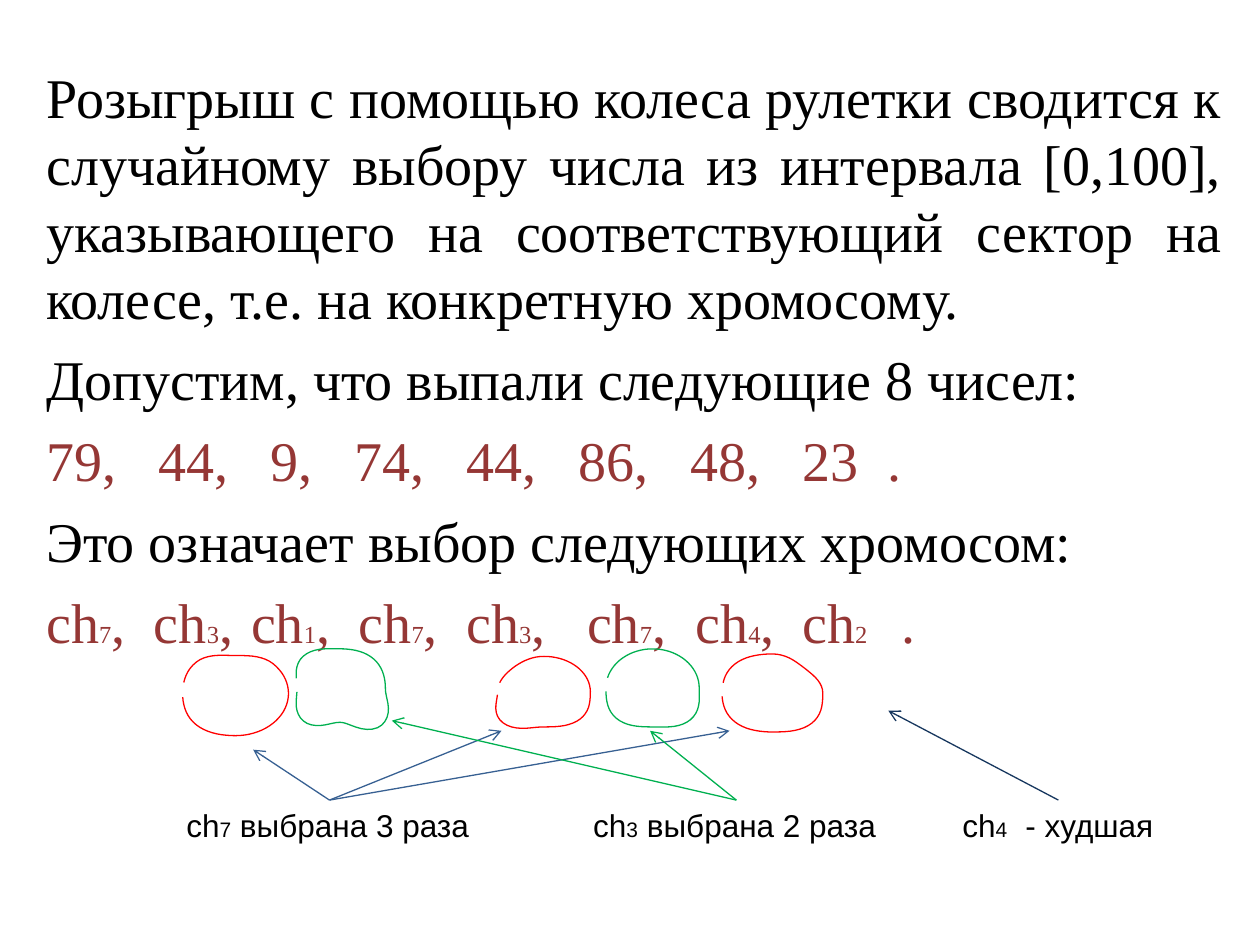
import math

import pptx
import pptx.util
import pptx.dml.color
import pptx.enum.shapes
import pptx.enum.text
import pptx.oxml.ns
from lxml import etree

Pt = pptx.util.Pt
RGB = pptx.dml.color.RGBColor
ALIGN = pptx.enum.text.PP_ALIGN
BLACK = RGB(0x00, 0x00, 0x00)
MAROON = RGB(0x95, 0x37, 0x35)
RED = RGB(0xFF, 0x00, 0x00)
GREEN = RGB(0x00, 0xB0, 0x50)
BLUE = RGB(0x37, 0x60, 0x92)
NAVY = RGB(0x17, 0x37, 0x5E)

BODY = [
    ("Розыгрыш с помощью колеса рулетки сводится к случайному выбору числа из "
     "интервала [0,100], указывающего на соответствующий сектор на колесе, т.е. "
     "на конкретную хромосому.", BLACK, []),
    ("Допустим, что выпали следующие 8 чисел:", BLACK, []),
    ("79,\t44,\t9,\t74,\t44,\t86,\t48,\t23\t.", MAROON,
     [64, 128, 176, 240, 304, 368, 432, 480.5]),
    ("Это означает выбор следующих хромосом:", BLACK, []),
    ("ch|7|,\tch|3|,\tch|1|,\tch|7|,\tch|3|,\tch|7|,\tch|4|,\tch|2|\t.", MAROON,
     [61.5, 117, 178.5, 240, 309, 371, 432, 488.5]),
]

LOOPS = [
    (104.4, 372.2, 60.5, 48.2, RED, [1, 1, 1, 1.05, 1, 1.05, 0.9, 1]),
    (284.4, 375.1, 53, 40.3, RED, [1, 1.1, 1, 1.25, 1, 0.95, 1, 1]),
    (412.6, 373.7, 57.6, 44.6, RED, [1, 1.1, 1, 1.05, 1, 1.05, 1, 0.9]),
    (168.5, 370.8, 51.8, 45.4, GREEN, [1, 1.3, 0.85, 1.15, 0.95, 1.15, 1, 1.05]),
    (346.3, 370.8, 53.3, 44.6, GREEN, [1, 1.15, 1, 1.1, 1, 1, 1, 1]),
]

LABELS = [
    (99.4, 177.8, "сh|7| выбрана 3 раза", [], BLUE,
     [(144.7, 428.4), (286.6, 417.6), (416.9, 417.6)]),
    (331.9, 177.8, "сh|3| выбрана 2 раза", [], GREEN,
     [(223.9, 411.8), (371.5, 417.6)]),
    (542.9, 123.8, "ch|4|\t- худшая", [36], NAVY, [(507.6, 406.1)]),
]


def add_text_frame(slide, left, top, width, height, insets):
    """Add a wrapping text box and return its shape."""
    s = slide.shapes.add_textbox(Pt(left), Pt(top), Pt(width), Pt(height))
    s.text_frame.word_wrap = True
    for side, size in insets.items():
        setattr(s.text_frame, "margin_" + side, Pt(size))
    return s


def fill_paragraph(p, text, sizes, font, color, stops):
    """Write runs that alternate between two sizes, with left tab stops."""
    if stops:
        tabs = etree.SubElement(p._p.get_or_add_pPr(), pptx.oxml.ns.qn("a:tabLst"))
        for stop in stops:
            etree.SubElement(tabs, pptx.oxml.ns.qn("a:tab"), pos=str(Pt(stop)), algn="l")
    for i, part in enumerate(text.split("|")):
        r = p.add_run()
        r.text = part
        for name, value in {"size": Pt(sizes[i % 2]), "name": font}.items():
            setattr(r.font, name, value)
        r.font.color.rgb = color


def add_body(slide, left, top, width, height):
    """Place the main explanation with its two tabbed rows."""
    insets = {"left": 7.2, "right": 7.2, "top": 5, "bottom": 3.6}
    tf = add_text_frame(slide, left, top, width, height, insets).text_frame
    for i, (text, color, stops) in enumerate(BODY):
        p = tf.add_paragraph() if i else tf.paragraphs[0]
        p.alignment = ALIGN.LEFT if stops else ALIGN.JUSTIFY
        p.line_spacing = Pt(38.3)
        p.space_before = Pt(8 if i else 0)
        fill_paragraph(p, text, (32, 14), "Times New Roman", color, stops)


def loop_point(left, top, width, height, radii, degrees):
    """Return the point of a loop at an angle, easing between eight radii."""
    step, rest = divmod(degrees % 360, 45)
    ease = (1 - math.cos(math.pi * rest / 45)) / 2
    radius = radii[step] * (1 - ease) + radii[(step + 1) % 8] * ease
    angle = math.radians(degrees)
    x = left + width / 2 * (1 + radius * math.cos(angle))
    y = top + height / 2 * (1 + radius * math.sin(angle))
    return Pt(x), Pt(y)


def add_loop(slide, left, top, width, height, color, radii):
    """Draw a hand-drawn loop with a small gap on its left side."""
    start, *rest = [loop_point(left, top, width, height, radii, degrees)
                    for degrees in range(195, 540, 5)]
    builder = slide.shapes.build_freeform(*start)
    builder.add_line_segments(rest, close=False)
    s = builder.convert_to_shape()
    s.shadow.inherit = False
    s.fill.background()
    s.line.color.rgb = color
    s.line.width = Pt(0.75)


def add_arrow(slide, label, x, y, color):
    """Draw an arrow from the top of a label to a point."""
    s = slide.shapes.add_connector(
        pptx.enum.shapes.MSO_CONNECTOR.STRAIGHT, 0, 0, Pt(x), Pt(y))
    s.begin_connect(label, 0)
    s.line.color.rgb = color
    s.line.width = Pt(0.75)
    etree.SubElement(s.line._get_or_add_ln(), pptx.oxml.ns.qn("a:tailEnd"), type="arrow")
    etree.SubElement(s._element.spPr, pptx.oxml.ns.qn("a:effectLst"))


def add_label(slide, left, top, width, height, text, stops, color, targets):
    """Place a caption and the arrows that leave it."""
    insets = {"left": 7.2, "right": 0, "top": 3.6, "bottom": 3.6}
    s = add_text_frame(slide, left, top, width, height, insets)
    fill_paragraph(s.text_frame.paragraphs[0], text, (18, 12), "Arial", BLACK, stops)
    for x, y in targets:
        add_arrow(slide, s, x, y, color)


def main():
    """Build and save the roulette selection slide."""
    prs = pptx.Presentation()
    prs.slide_width, prs.slide_height = Pt(720), Pt(540)
    slide = prs.slides.add_slide(prs.slide_layouts[6])
    add_body(slide, 19.4, 31, 686.2, 488.9)
    for loop in LOOPS:
        add_loop(slide, *loop)
    for left, width, *content in LABELS:
        add_label(slide, left, 457.2, width, 28.8, *content)
    prs.save("out.pptx")


if __name__ == "__main__":
    main()
